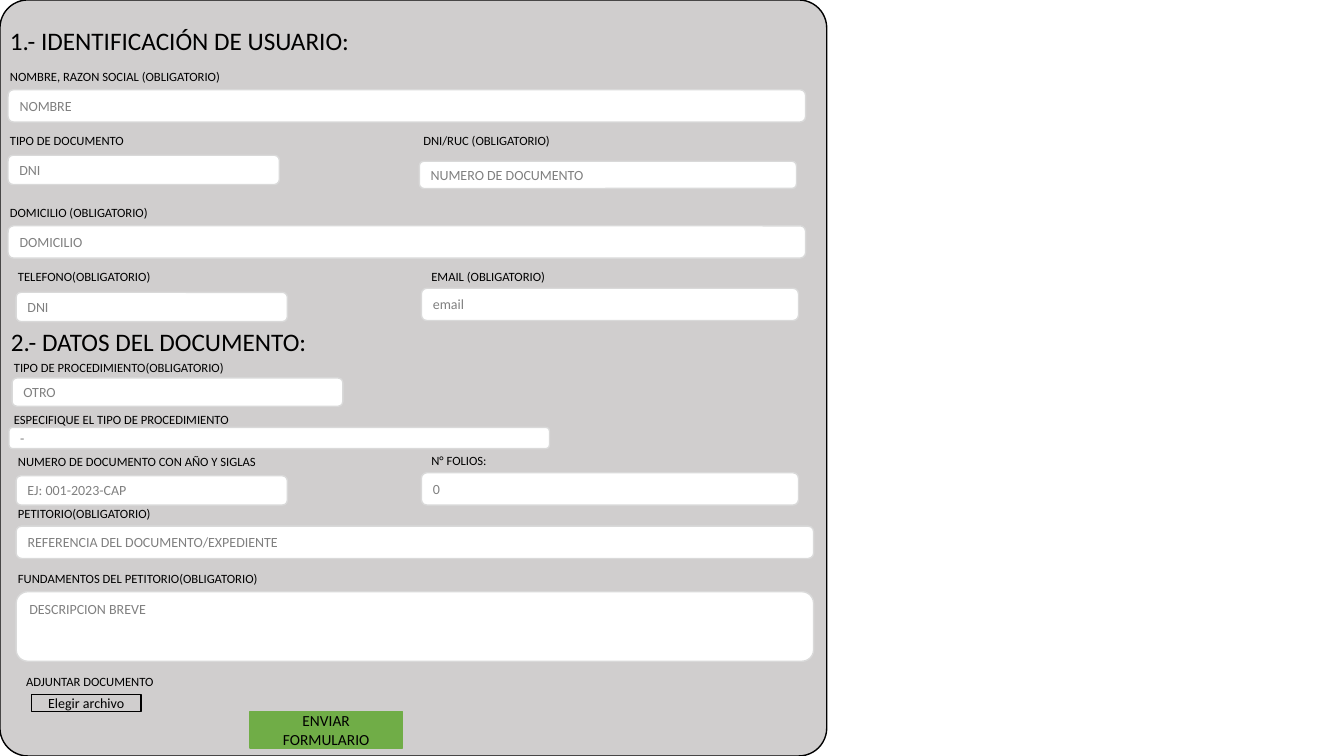
from pptx import Presentation
from pptx.dml.color import RGBColor
from pptx.enum.shapes import MSO_SHAPE
from pptx.enum.text import MSO_ANCHOR, MSO_AUTO_SIZE, PP_ALIGN
from pptx.util import Inches, Pt

COLORS = {
    "panel": "D0CECE",
    "field": "FFFFFF",
    "field_line": "D9D9D9",
    "hint": "808080",
    "ink": "000000",
    "send": "70AD47",
}


def write(shape, text, size, color, align=PP_ALIGN.LEFT):
    frame = shape.text_frame
    frame.word_wrap = True
    frame.text = text
    para = frame.paragraphs[0]
    para.alignment = align
    span = para.runs[0]
    span.font.name = "Calibri"
    span.font.size = Pt(size)
    span.font.color.rgb = RGBColor.from_string(COLORS[color])


def add_box(kind, left, top, width, height, fill, line):
    box = page.shapes.add_shape(
        kind, Inches(left), Inches(top), Inches(width), Inches(height))
    box.shadow.inherit = False
    box.fill.solid()
    box.fill.fore_color.rgb = RGBColor.from_string(COLORS[fill])
    box.line.color.rgb = RGBColor.from_string(COLORS[line])
    box.line.width = Pt(1)
    box.text_frame.vertical_anchor = MSO_ANCHOR.MIDDLE
    return box


deck = Presentation()
deck.slide_width = Inches(13.33)
deck.slide_height = Inches(7.5)
page = deck.slides.add_slide(deck.slide_layouts[6])

# Form panel
panel = add_box(MSO_SHAPE.ROUNDED_RECTANGLE, 0, 0, 8.2, 7.5, "panel", "ink")
panel.adjustments[0] = 0.037

# Section headings and field labels: text, left, top, width, size
HEADING, LABEL = 18, 9
labels = [
    ("1.- IDENTIFICACIÓN DE USUARIO:", 0, 0.2, 3.61, HEADING),
    ("NOMBRE, RAZON SOCIAL (OBLIGATORIO)", 0, 0.63, 2.34, LABEL),
    ("TIPO DE DOCUMENTO", 0, 1.27, 2.34, LABEL),
    ("DNI/RUC (OBLIGATORIO)", 4.1, 1.27, 2.34, LABEL),
    ("DOMICILIO (OBLIGATORIO)", 0, 1.98, 2.34, LABEL),
    ("TELEFONO(OBLIGATORIO)", 0.08, 2.62, 2.34, LABEL),
    ("EMAIL (OBLIGATORIO)", 4.18, 2.62, 2.34, LABEL),
    ("2.- DATOS DEL DOCUMENTO:", 0.01, 3.19, 3.18, HEADING),
    ("TIPO DE PROCEDIMIENTO(OBLIGATORIO)", 0.04, 3.52, 2.34, LABEL),
    ("ESPECIFIQUE EL TIPO DE PROCEDIMIENTO", 0.04, 4.04, 2.57, LABEL),
    ("NUMERO DE DOCUMENTO CON AÑO Y SIGLAS", 0.08, 4.45, 2.57, LABEL),
    ("N° FOLIOS:", 4.18, 4.44, 2.34, LABEL),
    ("PETITORIO(OBLIGATORIO)", 0.08, 4.97, 2.34, LABEL),
    ("FUNDAMENTOS DEL PETITORIO(OBLIGATORIO)", 0.08, 5.61, 3.36, LABEL),
    ("ADJUNTAR DOCUMENTO", 0.16, 6.64, 1.51, LABEL),
]
for text, left, top, width, size in labels:
    label = page.shapes.add_textbox(
        Inches(left), Inches(top), Inches(width), Inches(0.42))
    write(label, text, size, "ink")
    label.text_frame.auto_size = MSO_AUTO_SIZE.SHAPE_TO_FIT_TEXT

# Input fields: hint, left, top, width, height
FULL, HALF, SHORT = 7.91, 3.74, 2.69
fields = [
    ("NOMBRE", 0.08, 0.89, FULL, 0.32),
    ("DNI", 0.08, 1.54, SHORT, 0.29),
    ("NUMERO DE DOCUMENTO", 4.16, 1.6, HALF, 0.27),
    ("DOMICILIO", 0.08, 2.24, FULL, 0.32),
    ("DNI", 0.16, 2.9, SHORT, 0.29),
    ("email", 4.18, 2.86, HALF, 0.32),
    ("OTRO", 0.12, 3.75, 3.28, 0.28),
    ("-", 0.09, 4.24, 5.36, 0.21),
    ("EJ: 001-2023-CAP", 0.16, 4.72, SHORT, 0.29),
    ("0", 4.18, 4.69, HALF, 0.32),
    ("REFERENCIA DEL DOCUMENTO/EXPEDIENTE", 0.16, 5.22, FULL, 0.32),
    ("DESCRIPCION BREVE", 0.16, 5.87, FULL, 0.69),
]
for hint, left, top, width, height in fields:
    field = add_box(MSO_SHAPE.ROUNDED_RECTANGLE, left, top, width, height,
                    "field", "field_line")
    write(field, hint, 10, "hint")

# The last field is the multi-line description, so its hint starts at the top
field.text_frame.vertical_anchor = MSO_ANCHOR.TOP

# Buttons
attach = add_box(MSO_SHAPE.RECTANGLE, 0.31, 6.89, 1.09, 0.17, "panel", "ink")
write(attach, "Elegir archivo", 10, "ink", PP_ALIGN.CENTER)
send = add_box(MSO_SHAPE.RECTANGLE, 2.48, 7.06, 1.51, 0.36, "send", "send")
write(send, "ENVIAR FORMULARIO", 11, "ink", PP_ALIGN.CENTER)

deck.save("out.pptx")
